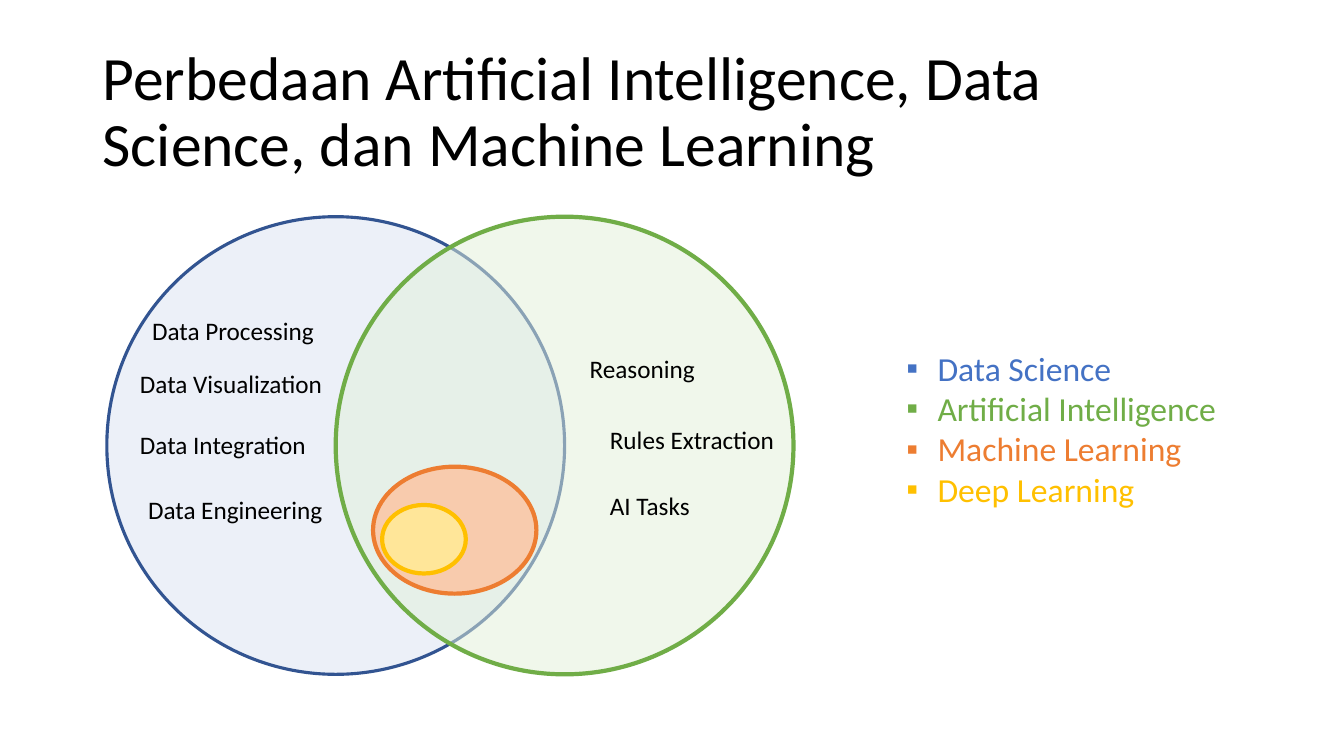
from lxml.etree import SubElement
from pptx import Presentation
from pptx.dml.color import RGBColor
from pptx.enum.shapes import MSO_SHAPE as Shape
from pptx.enum.text import MSO_ANCHOR as Anchor
from pptx.oxml.ns import qn
from pptx.util import Pt

PX = 9144  # 100 px to the inch
COLORS = {
    "black": "000000",
    "blue": "4472C4", "dark blue": "325491", "pale blue": "DAE3F3",
    "green": "70AD47", "pale green": "E2F0D9",
    "orange": "ED7D31", "pale orange": "F8CBAD",
    "yellow": "FFC000", "pale yellow": "FFE699",
}

deck = Presentation()
deck.slide_width, deck.slide_height = 1333 * PX, 750 * PX
page = deck.slides.add_slide(deck.slide_layouts[6])


def add_text(lines, left, top, width, height, size=18, wrap=False,
             anchor=Anchor.TOP, spacing=None, bullet=None, indent=31):
    """Add a text box from (text, color name) lines."""
    box = page.shapes.add_textbox(left * PX, top * PX, width * PX, height * PX)
    frame = box.text_frame
    frame.word_wrap = wrap
    frame.vertical_anchor = anchor
    for number, (text, color) in enumerate(lines):
        para = frame.add_paragraph() if number else frame.paragraphs[0]
        if spacing:
            para.line_spacing = spacing
        if bullet:
            props = para._p.get_or_add_pPr()
            props.set("marL", str(indent * PX))
            props.set("indent", str(-indent * PX))
            SubElement(props, qn("a:buFont"), typeface="Arial")
            SubElement(props, qn("a:buChar"), char=bullet)
        span = para.add_run()
        span.text = text
        span.font.name = "Calibri"
        span.font.size = Pt(size)
        span.font.color.rgb = RGBColor.from_string(COLORS[color])


# Title
add_text([("Perbedaan Artificial Intelligence, Data Science, dan Machine Learning", "black")],
         92, 40, 1150, 145, size=44, wrap=True, anchor=Anchor.MIDDLE, spacing=0.9)

# Venn diagram: left, top, width, height, fill, line, line width, opacity in percent
ellipses = [
    (106, 215, 454, 454, "pale blue", "dark blue", 2.25, 50),
    (333, 215, 454, 454, "pale green", "green", 3, 50),
    (370, 463, 162, 126, "pale orange", "orange", 3, 100),
    (379, 501, 83, 68, "pale yellow", "yellow", 3, 100),
]
for left, top, width, height, fill, line, weight, opacity in ellipses:
    ellipse = page.shapes.add_shape(Shape.OVAL, left * PX, top * PX, width * PX, height * PX)
    ellipse.shadow.inherit = False
    ellipse.fill.solid()
    ellipse.fill.fore_color.rgb = RGBColor.from_string(COLORS[fill])
    ellipse.line.color.rgb = RGBColor.from_string(COLORS[line])
    ellipse.line.width = Pt(weight)
    if opacity < 100:
        tint = ellipse._element.spPr.find(qn("a:solidFill"))[0]
        SubElement(tint, qn("a:alpha"), val=str(opacity * 1000))

# Legend
add_text([("Data Science", "blue"), ("Artificial Intelligence", "green"),
          ("Machine Learning", "orange"), ("Deep Learning", "yellow")],
         889, 340, 331, 172, size=24, bullet="▪")

# Topics inside the two large circles
topics = [
    ("Data Processing", 141, 308, 182),
    ("Data Visualization", 129, 361, 203),
    ("Data Integration", 129, 421, 187),
    ("Data Engineering", 137, 485, 195),
    ("Reasoning", 575, 346, 126),
    ("Rules Extraction", 595, 416, 185),
    ("AI Tasks", 595, 482, 100),
]
for topic, left, top, width in topics:
    add_text([(topic, "black")], left, top, width, 40)

deck.save("out.pptx")
